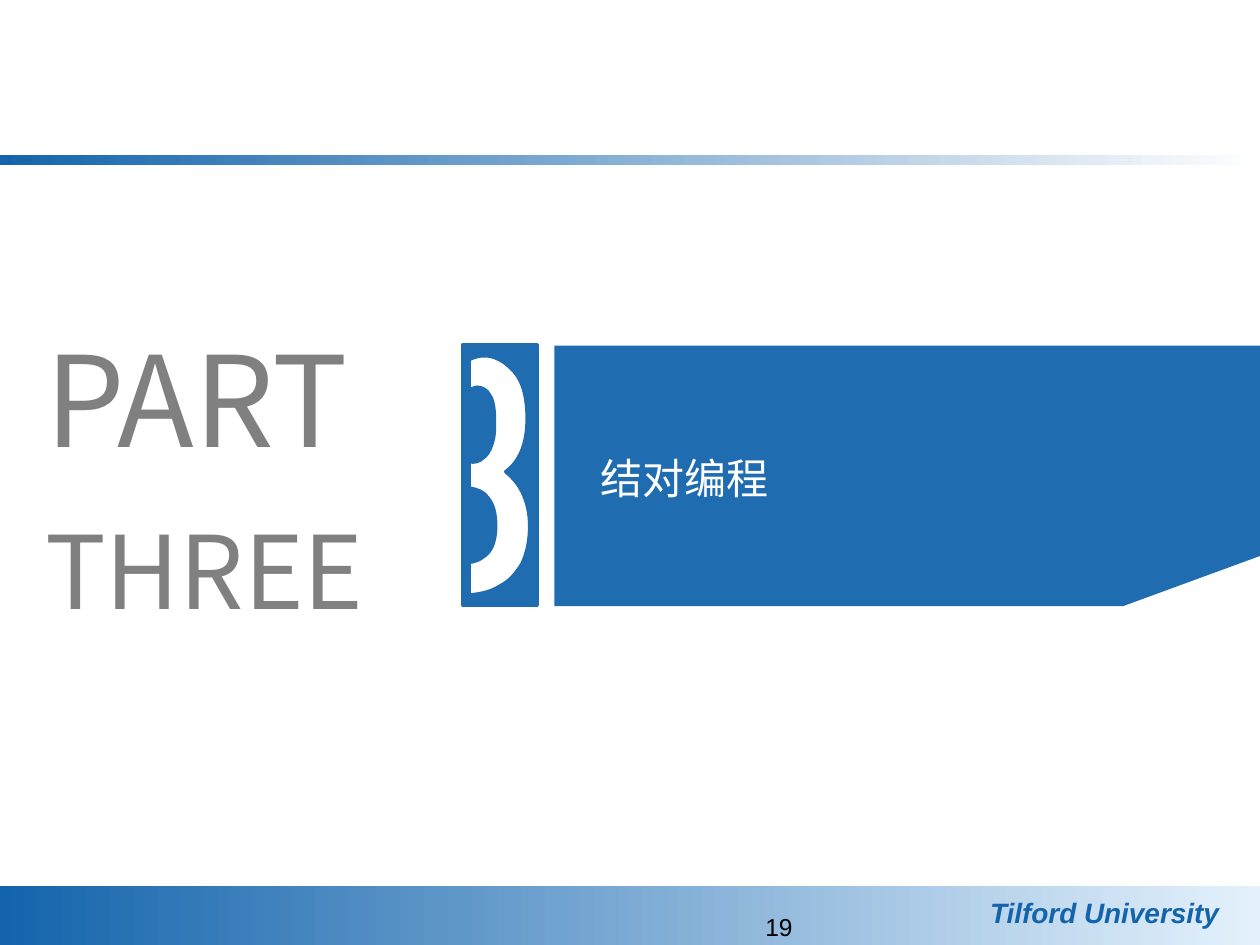
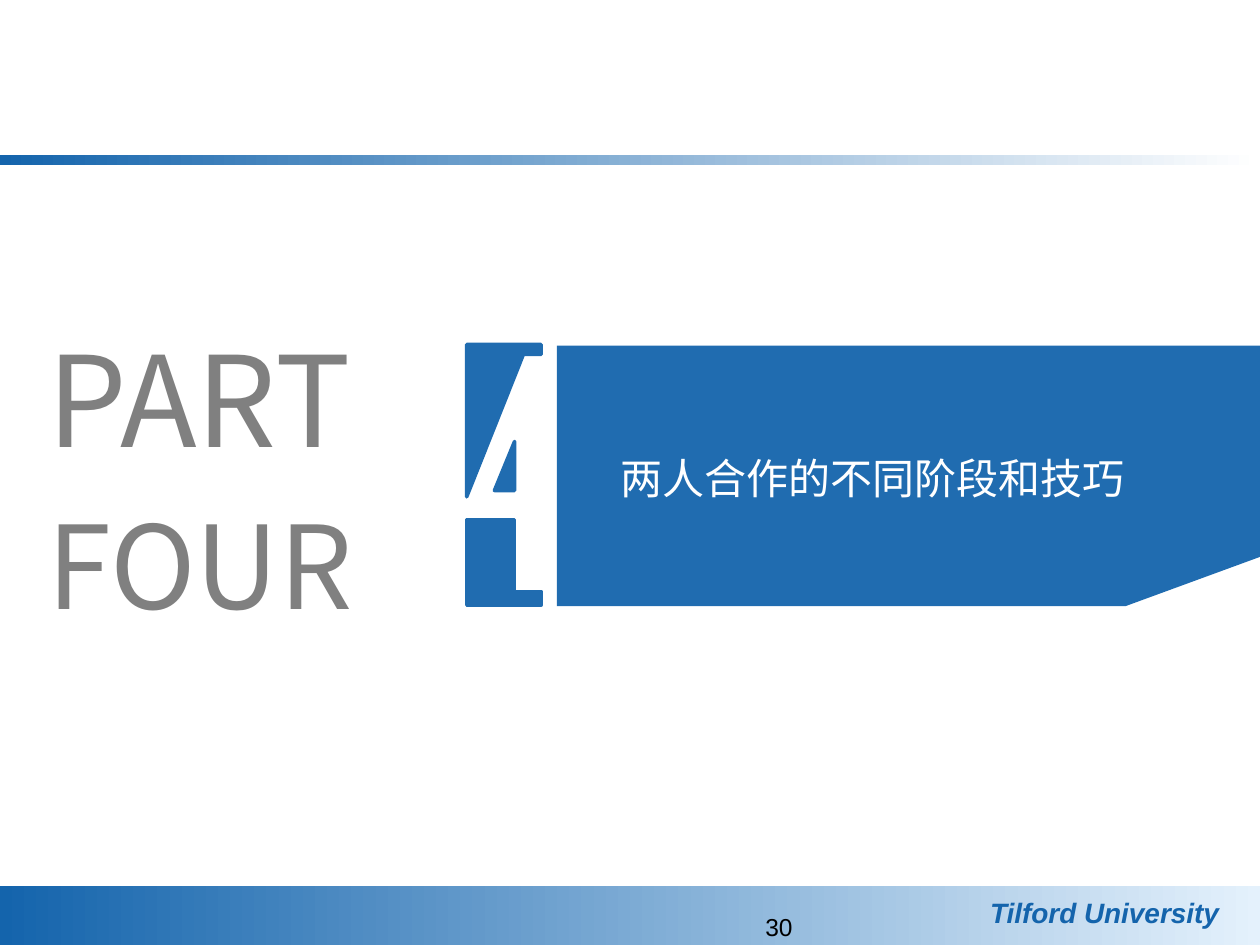
from lxml.etree import SubElement
from pptx import Presentation
from pptx.dml.color import RGBColor
from pptx.enum.shapes import MSO_SHAPE
from pptx.enum.text import MSO_ANCHOR, MSO_AUTO_SIZE, PP_ALIGN
from pptx.oxml.ns import qn
from pptx.util import Cm, Pt

COLORS = {
    "panel": "206CB0",
    "band": "1464AC",
    "band_end": "FFFFFF",
    "footer_end": "E4F1FC",
    "part": "808080",
    "label": "FFFFFF",
    "number": "000000",
}
LATIN, CHINESE, DISPLAY = "Arial", "Noto Sans CJK JP", "Noto Sans CJK SC"
UNIVERSITY = "Tilford University"

BANDS = [
    ((0, 3.12, 25.4, 0.2), "band_end"),
    ((0, 17.86, 25.4, 1.19), "footer_end"),
]
UNIVERSITY_AT = (19.71, 17.93, 5.59, 0.94)
NUMBER_AT = (10.31, 18.26, 5.92, 0.79)

# Digit outlines are in hundredths of an inch: pairs are lines, sextuples are Bézier curves.
DIGIT_THREE = [
    [(384, 282), (380, 282, 376, 283, 372, 285), (372, 309),
     (375, 308, 377, 307, 378, 307), (382, 307, 386, 309, 388, 313),
     (391, 317, 392, 324, 392, 334), (392, 341, 392, 347, 390, 352),
     (388, 358, 386, 361, 383, 363), (380, 366, 376, 367, 372, 366),
     (372, 387), (378, 388, 384, 390, 387, 395),
     (391, 400, 393, 407, 393, 417), (393, 426, 391, 433, 388, 437),
     (384, 442, 379, 445, 372, 446), (372, 472),
     (382, 471, 390, 469, 396, 465), (404, 461, 409, 455, 414, 447),
     (418, 438, 420, 429, 420, 417), (420, 407, 418, 398, 414, 390),
     (411, 384, 407, 379, 401, 374), (412, 366, 418, 352, 418, 332),
     (418, 316, 415, 303, 408, 295), (401, 287, 393, 282, 384, 282)],
    [(367, 273), (426, 273), (426, 480), (367, 480)],
]
DIGIT_FOUR = [
    [(370, 412), (408, 412), (408, 469), (429, 469), (429, 480), (370, 480)],
    [(408, 350), (408, 389), (392, 389)],
    [(370, 273), (429, 273), (429, 281), (415, 281), (370, 394)],
]

SECTIONS = [
    {"number": "19", "label": "结对编程", "label_font": CHINESE, "label_width": 3.96,
     "word": "THREE", "word_size": 58, "word_top": 10.1, "word_height": 2.74,
     "shift": 0, "digit": DIGIT_THREE},
    {"number": "30", "label": "两人合作的不同阶段和技巧", "label_font": LATIN, "label_width": 11.45,
     "word": "FOUR", "word_size": 66, "word_top": 9.83, "word_height": 3.07,
     "shift": 0.05, "digit": DIGIT_FOUR},
]


def color(name):
    return RGBColor.from_string(COLORS[name])


def place(shape, at):
    shape.left, shape.top, shape.width, shape.height = map(Cm, at)


def write(shape, text, *, size, ink, font=LATIN, bold=False, italic=False,
          align=PP_ALIGN.LEFT, anchor=MSO_ANCHOR.TOP):
    frame = shape.text_frame
    frame.word_wrap = True
    frame.auto_size = MSO_AUTO_SIZE.NONE
    frame.vertical_anchor = anchor
    para = frame.paragraphs[0]
    para.alignment = align
    span = para.add_run()
    span.text = text
    span.font.name = font
    span.font.size = Pt(size)
    span.font.bold = bold
    span.font.italic = italic
    span.font.color.rgb = color(ink)
    east_asian = CHINESE if font == LATIN else font
    SubElement(span.font._element, qn("a:ea")).set("typeface", east_asian)


def add_text(page, at, text, **style):
    box = page.shapes.add_textbox(*map(Cm, at))
    write(box, text, **style)
    return box


def add_plain(page, kind, at):
    shape = page.shapes.add_shape(kind, *map(Cm, at))
    shape.shadow.inherit = False
    shape.line.fill.background()
    return shape


def add_band(page, at, end):
    band = add_plain(page, MSO_SHAPE.RECTANGLE, at)
    band.fill.gradient()
    band.fill.gradient_angle = 0
    for stop, name in zip(band.fill.gradient_stops, ("band", end)):
        stop.color.rgb = color(name)
    return band


def share(page):
    parts = [add_band(page, at, end) for at, end in BANDS]
    parts.append(add_text(page, UNIVERSITY_AT, UNIVERSITY, size=16, ink="band",
                          bold=True, italic=True))
    for index, part in enumerate(parts):
        part._element.nvSpPr.cNvPr.id = 100 + index
        page.slide_layout.shapes._spTree.append(part._element)


def bend(shape, contours):
    ends = [segment[-2:] for contour in contours for segment in contour]
    left, top = (min(values) for values in zip(*ends))
    segments = [segment for contour in contours for segment in contour[1:]]
    lines = list(shape._element.iter(qn("a:lnTo")))
    for line, segment in zip(lines, segments):
        if len(segment) == 2:
            continue
        curve = line.makeelement(qn("a:cubicBezTo"))
        for x, y in zip(segment[::2], segment[1::2]):
            point = SubElement(curve, qn("a:pt"))
            point.set("x", str(x - left))
            point.set("y", str(y - top))
        line.getparent().replace(line, curve)


def add_digit(page, contours):
    builder = page.shapes.build_freeform(*contours[0][0], scale=Cm(0.0254))
    for index, contour in enumerate(contours):
        if index:
            builder.move_to(*contour[0])
        builder.add_line_segments([segment[-2:] for segment in contour[1:]], close=True)
    digit = builder.convert_to_shape()
    bend(digit, contours)
    digit.left += Cm(0.01)
    digit.top += Cm(0.01)
    digit.shadow.inherit = False
    digit.fill.solid()
    digit.fill.fore_color.rgb = color("panel")
    digit.line.color.rgb = color("panel")
    digit.line.width = Pt(2)


def add_panel(page, left):
    panel = add_plain(page, MSO_SHAPE.FLOWCHART_CARD, (left, 6.97, 14.33, 5.25))
    panel.fill.solid()
    panel.fill.fore_color.rgb = color("panel")
    frame = panel._element.spPr.find(qn("a:xfrm"))
    frame.set("flipH", "1")
    frame.set("flipV", "1")


def add_label(page, section):
    label = page.shapes.title
    place(label, (11.81 + section["shift"], 8.99, section["label_width"], 1.27))
    label.fill.solid()
    label.fill.fore_color.rgb = color("panel")
    write(label, section["label"], size=24, ink="label", font=section["label_font"],
          align=PP_ALIGN.CENTER, anchor=MSO_ANCHOR.MIDDLE)
    page.shapes._spTree.append(label._element)


def fill_page(page, section):
    shift = section["shift"]
    add_text(page, NUMBER_AT, section["number"], size=14, ink="number", align=PP_ALIGN.RIGHT)
    add_panel(page, 11.18 + shift)
    add_digit(page, section["digit"])
    add_label(page, section)
    lines = [
        ("PART", 72, 6.35, 3.33),
        (section["word"], section["word_size"], section["word_top"], section["word_height"]),
    ]
    for text, size, top, height in lines:
        add_text(page, (0.66 + shift, top, 8.46, height), text, size=size, ink="part",
                 font=DISPLAY, anchor=MSO_ANCHOR.MIDDLE)


def main():
    deck = Presentation()
    deck.slide_width, deck.slide_height = Cm(25.4), Cm(19.05)
    layout = deck.slide_layouts.get_by_name("Title Only")
    pages = [deck.slides.add_slide(layout) for _ in SECTIONS]
    share(pages[0])
    for page, section in zip(pages, SECTIONS):
        fill_page(page, section)
    deck.save("out.pptx")


if __name__ == "__main__":
    main()
